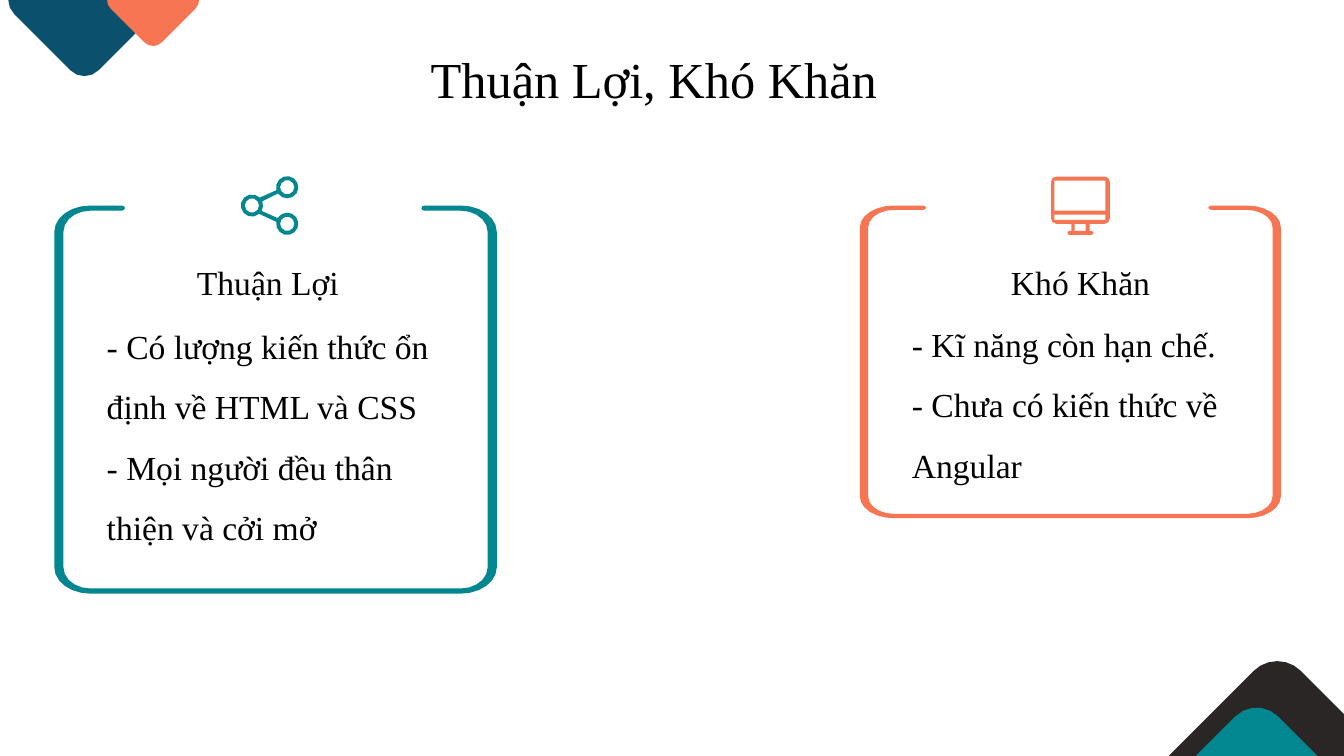
from math import acos, ceil, cos, degrees, radians, sin, sqrt

from pptx import Presentation
from pptx.dml.color import RGBColor
from pptx.enum.text import MSO_ANCHOR, MSO_AUTO_SIZE, PP_ALIGN
from pptx.util import Cm, Pt

CENTER = PP_ALIGN.CENTER
LEFT = PP_ALIGN.LEFT
TOP = MSO_ANCHOR.TOP
GROW = MSO_AUTO_SIZE.SHAPE_TO_FIT_TEXT

FONT = "Times New Roman"
COLORS = {
    "navy": "0B506C",
    "coral": "F67654",
    "charcoal": "2A2625",
    "teal": "02868F",
    "text": "000000",
}
WIDTH, HEIGHT = 33.87, 19.05
TOLERANCE = 0.01


def color(name):
    """Return the named colour."""
    return RGBColor.from_string(COLORS[name])


def arc(x, y, rx, ry, start, end):
    """Return just enough points for a smooth arc, clockwise from the right."""
    widest = 2 * degrees(acos(1 - TOLERANCE / max(rx, ry)))
    steps = ceil(abs(end - start) / widest)
    angles = [radians(start + (end - start) * i / steps) for i in range(steps + 1)]
    return [(x + rx * cos(a), y + ry * sin(a)) for a in angles]


def rounded(left, top, right, bottom, rx, ry):
    """Return four corner arcs, clockwise from the top left."""
    return [
        arc(left + rx, top + ry, rx, ry, 180, 270),
        arc(right - rx, top + ry, rx, ry, 270, 360),
        arc(right - rx, bottom - ry, rx, ry, 0, 90),
        arc(left + rx, bottom - ry, rx, ry, 90, 180),
    ]


def add_outline(page, contours, fill):
    """Add one filled freeform made of closed contours."""
    builder = None
    for contour in contours:
        points = [(Cm(x), Cm(y)) for x, y in contour]
        if builder is None:
            builder = page.shapes.build_freeform(*points[0], scale=1.0)
        else:
            builder.move_to(*points[0])
        builder.add_line_segments(points[1:], close=True)
    shape = builder.convert_to_shape()
    shape.shadow.inherit = False
    shape.fill.solid()
    shape.fill.fore_color.rgb = color(fill)
    shape.line.fill.background()


def add_hanging_diamond(page, x, reach, radius, fill):
    """Add the lower half of a rounded diamond at the top edge."""
    contour = (
        arc(x + reach, 0, radius, radius, 0, 45)
        + arc(x, reach, radius, radius, 45, 135)
        + arc(x - reach, 0, radius, radius, 135, 180)
    )
    add_outline(page, [contour], fill)


def add_peak(page, x, y, radius, fill):
    """Add a rounded diamond tip rising from the bottom edge."""
    reach = radius * sqrt(2) + HEIGHT - y
    right = min(x + reach, WIDTH)
    contour = arc(x, y, radius, radius, 225, 315) + [
        (right, HEIGHT - (x + reach - right)),
        (right, HEIGHT),
        (x - reach, HEIGHT),
    ]
    add_outline(page, [contour], fill)


def add_frame(page, edges, corner, side, bar, gap, fill):
    """Add a rounded frame with an opening in its top bar."""
    left, top, right, bottom = edges
    rx, ry = corner
    outer = rounded(left, top, right, bottom, rx, ry)
    inner = rounded(left + side, top + bar, right - side, bottom - bar,
                    rx - side, ry - bar)
    tip = 0.08
    middle = top + bar / 2
    contour = arc(gap[0] - tip, middle, tip, bar / 2, -90, 90)
    for index in (0, 3, 2, 1):
        contour += inner[index][::-1]
    contour += arc(gap[1] + tip, middle, tip, bar / 2, 90, 270)
    for index in (1, 2, 3, 0):
        contour += outer[index]
    add_outline(page, [contour], fill)


def add_share_icon(page, fill):
    """Add three rings joined by two bars."""
    radius, hole = 0.28, 0.18
    upper, hub, lower = (7.24, 4.72), (6.35, 5.18), (7.24, 5.64)
    sweeps = [(upper, 165, 506), (hub, -22, 29), (lower, 211, 550), (hub, 49, 315)]
    silhouette = []
    for node, start, end in sweeps:
        silhouette += arc(*node, radius, radius, start, end)
    holes = [arc(*node, hole, hole, 360, 0) for node in (upper, hub, lower)]
    add_outline(page, [silhouette] + holes, fill)


def add_monitor_icon(page, fill):
    """Add a monitor outline with its stand."""
    corners = rounded(26.49, 4.45, 27.97, 5.64, 0.13, 0.13)
    silhouette = (
        corners[0] + corners[1] + corners[2]
        + [(27.46, 5.64), (27.46, 5.82)]
        + arc(27.51, 5.87, 0.05, 0.05, -90, 90)
        + arc(26.95, 5.87, 0.05, 0.05, 90, 270)
        + [(27, 5.82), (27, 5.64)]
        + corners[3]
    )
    openings = [
        (26.57, 4.55, 27.86, 5.31),
        (26.57, 5.41, 27.86, 5.54),
        (27.08, 5.64, 27.36, 5.82),
    ]
    holes = [
        [(left, top), (left, bottom), (right, bottom), (right, top)]
        for left, top, right, bottom in openings
    ]
    add_outline(page, [silhouette] + holes, fill)


def write(box, lines, size, align, spacing):
    """Fill a text holder with one paragraph per line."""
    frame = box.text_frame
    frame.word_wrap = True
    frame.auto_size = GROW
    frame.vertical_anchor = TOP
    for index, line in enumerate(lines):
        para = frame.add_paragraph() if index else frame.paragraphs[0]
        para.alignment = align
        para.line_spacing = spacing
        span = para.add_run()
        span.text = line
        span.font.name = FONT
        span.font.size = Pt(size)
        span.font.color.rgb = color("text")


def add_title(page, text):
    """Place and format the title placeholder."""
    title = page.shapes.title
    title.left, title.top = Cm(9.7), Cm(1.09)
    title.width, title.height = Cm(13.56), Cm(1.8)
    write(title, [text], 36, CENTER, 1.0)


def add_text(page, place, lines, align=LEFT, spacing=1.5):
    """Add a text box at a place given in centimetres."""
    box = page.shapes.add_textbox(*[Cm(value) for value in place])
    write(box, lines, 24, align, spacing)


def main():
    """Build the slide and save it."""
    deck = Presentation()
    deck.slide_width, deck.slide_height = Cm(WIDTH), Cm(HEIGHT)
    page = deck.slides.add_slide(deck.slide_layouts[5])
    add_title(page, "Thuận Lợi, Khó Khăn")

    add_hanging_diamond(page, 2.13, 1.42, 0.5, "navy")
    add_hanging_diamond(page, 3.86, 0.86, 0.3, "coral")
    add_peak(page, 32.19, 17.5, 0.84, "charcoal")
    add_peak(page, 31.67, 18.59, 0.76, "teal")

    add_frame(page, (1.37, 5.18, 12.52, 14.96), (0.91, 0.66), 0.23, 0.13,
              (3.15, 10.62), "teal")
    add_share_icon(page, "teal")
    add_text(page, (4.06, 6.48, 5.38, 1.27), ["Thuận Lợi"], CENTER, 1.0)
    add_text(page, (2.44, 7.57, 8.64, 6.4), [
        "- Có lượng kiến thức ổn định về HTML và CSS",
        "- Mọi người đều thân thiện và cởi mở",
    ])

    add_frame(page, (21.67, 5.18, 32.28, 13.06), (0.86, 0.55), 0.21, 0.11,
              (23.34, 30.45), "coral")
    add_monitor_icon(page, "coral")
    add_text(page, (24.54, 6.48, 5.38, 1.27), ["Khó Khăn"], CENTER, 1.0)
    add_text(page, (22.73, 7.52, 8.64, 4.88), [
        "- Kĩ năng còn hạn chế.",
        "- Chưa có kiến thức về Angular",
    ])
    deck.save("out.pptx")


if __name__ == "__main__":
    main()
